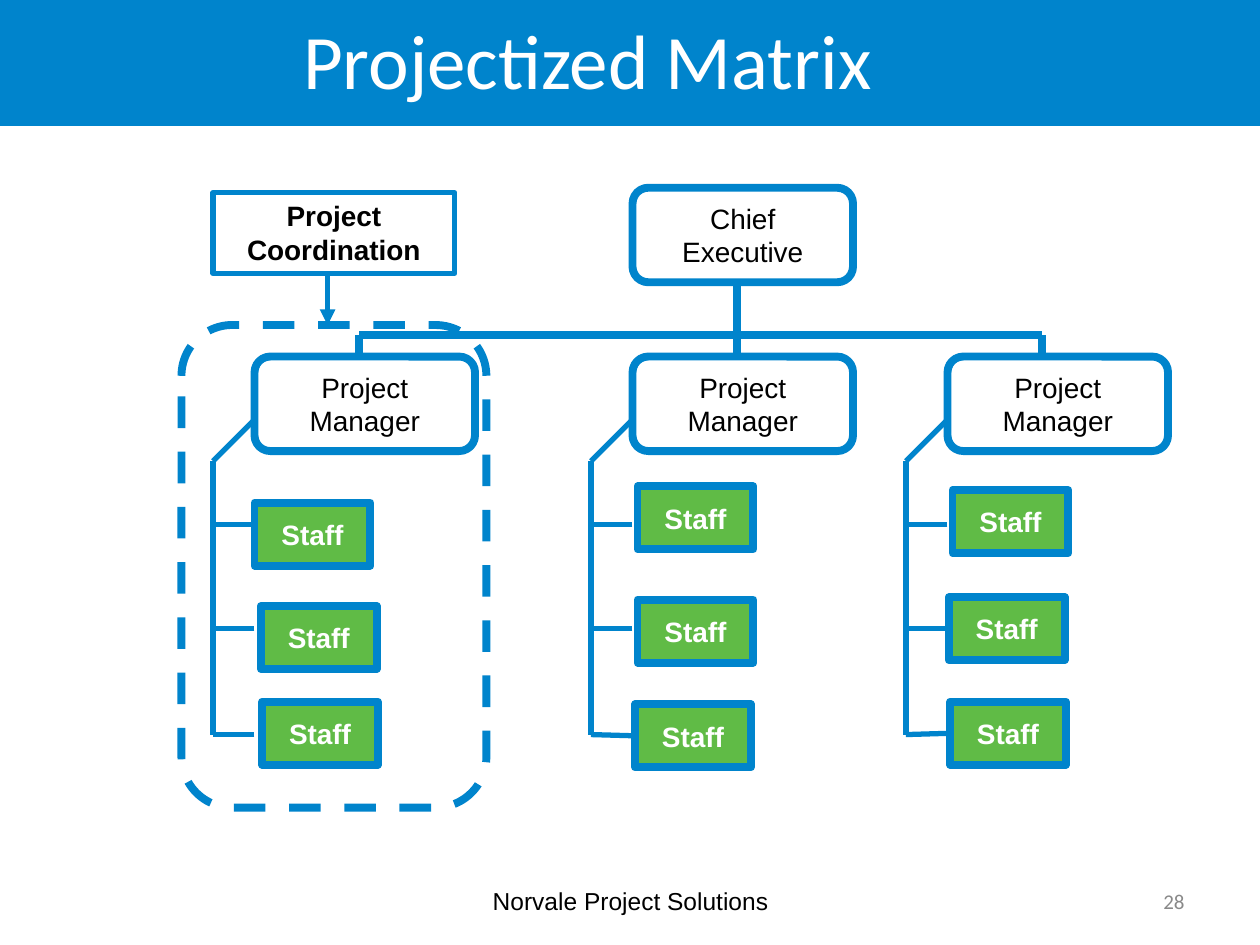
from typing import NamedTuple

from lxml import etree
from pptx import Presentation, util as u
from pptx.dml.color import RGBColor
from pptx.enum import dml, shapes as sh, text as tx
from pptx.oxml import ns

BLUE, GREEN, WHITE, BLACK, GREY = "0084CC", "60BB46", "FFFFFF", "000000", "898989"
KIND = sh.MSO_SHAPE
ROWS = (4.16, 4.99, 5.83)


class Team(NamedTuple):
    left: float
    staff: tuple[tuple[float, float], ...]


TEAMS = (
    Team(2.02, ((2.02, 3.99), (2.07, 4.81), (2.08, 5.57))),
    Team(5.02, ((5.06, 3.86), (5.06, 4.76), (5.04, 5.59))),
    Team(7.52, ((7.56, 3.89), (7.53, 4.74), (7.54, 5.57))),
)


def rgb(code: str) -> RGBColor:
    return RGBColor.from_string(code)


def write(shape, words: str, size: int = 16, color: str = BLACK, bold: bool = False,
          font: str = "Arial", align=tx.PP_ALIGN.CENTER,
          anchor=tx.MSO_ANCHOR.MIDDLE, wrap: bool = True) -> None:
    frame = shape.text_frame
    frame.word_wrap, frame.vertical_anchor = wrap, anchor
    para = frame.paragraphs[0]
    para.text, para.alignment = words, align
    for run in para.runs:
        run.font.name, run.font.size, run.font.bold = font, u.Pt(size), bold
        run.font.color.rgb = rgb(color)


def box(slide, kind, left: float, top: float, width: float, height: float,
        fill: str = "", line: float = 4.5):
    shape = slide.shapes.add_shape(kind, *map(u.Inches, (left, top, width, height)))
    shape.shadow.inherit = False
    if fill:
        shape.fill.solid()
        shape.fill.fore_color.rgb = rgb(fill)
    else:
        shape.fill.background()
    if line:
        shape.line.color.rgb = rgb(BLUE)
        shape.line.width = u.Pt(line)
    else:
        shape.line.fill.background()
    return shape


def label(slide, left: float, top: float, width: float, height: float, words: str, **form) -> None:
    area = slide.shapes.add_textbox(*map(u.Inches, (left, top, width, height)))
    write(area, words, **form)


def link(slide, x: float, y: float, end_x: float, end_y: float,
         width: float = 3, arrow: bool = False):
    line = slide.shapes.add_connector(
        sh.MSO_CONNECTOR.STRAIGHT, *map(u.Inches, (x, y, end_x, end_y)))
    line.line.color.rgb = rgb(BLUE)
    line.line.width = u.Pt(width)
    if arrow:
        etree.SubElement(line.line._get_or_add_ln(), ns.qn("a:tailEnd"), type="triangle")
    etree.SubElement(line.element.spPr, ns.qn("a:effectLst"))
    return line


def lead(slide, left: float, top: float, words: str) -> None:
    write(box(slide, KIND.ROUNDED_RECTANGLE, left, top, 1.75, 0.75), words, wrap=False)


def team(slide, unit: Team) -> None:
    left, trunk = unit.left, unit.left - 0.33
    link(slide, trunk, ROWS[-1], trunk, 3.66)
    link(slide, left, 3.33, trunk, 3.66)
    lead(slide, left, 2.83, "Project\nManager")
    for row, (x, y) in zip(ROWS, unit.staff):
        staff = box(slide, KIND.RECTANGLE, x, y, 0.92, 0.5, GREEN)
        write(staff, "Staff", color=WHITE, bold=True, wrap=False)
        twig = link(slide, left, row, trunk, row)
        if max(abs(x - left), abs(y + 0.25 - row)) < 0.03:
            twig.begin_connect(staff, 1)


def main() -> None:
    deck = Presentation()
    deck.slide_width, deck.slide_height = u.Inches(10), u.Inches(7.5)
    slide = deck.slides.add_slide(deck.slide_layouts[5])

    title = slide.shapes.title
    title.left, title.top = u.Inches(0.08), u.Inches(0.03)
    title.width, title.height = u.Inches(9.17), u.Inches(0.88)
    write(title, "Projectized Matrix", size=44, color=WHITE, font="Calibri")
    band = box(slide, KIND.RECTANGLE, -0.01, 0, 10.01, 1, BLUE, 0)
    title.element.addprevious(band.element)

    link(slide, 2.85, 2.66, 8.27, 2.66, 4.5)
    for x, top in ((2.85, 2.66), (5.85, 2.24), (8.27, 2.66)):
        link(slide, x, top, x, 2.83, 4.5)
    lead(slide, 5.02, 1.49, "Chief\nExecutive")

    frame = box(slide, KIND.ROUNDED_RECTANGLE, 1.44, 2.58, 2.42, 3.83)
    frame.line.dash_style = dml.MSO_LINE.DASH
    tag = box(slide, KIND.RECTANGLE, 1.69, 1.53, 1.92, 0.64, line=3)
    write(tag, "Project Coordination", bold=True, anchor=tx.MSO_ANCHOR.TOP)
    link(slide, 2.6, 2.16, 2.6, 2.58, arrow=True)

    for unit in TEAMS:
        team(slide, unit)

    label(slide, 3.42, 6.95, 3.17, 0.4, "Norvale Project Solutions", size=14)
    label(slide, 7.17, 6.95, 2.33, 0.4, "28", size=12, color=GREY,
          font="Calibri", align=tx.PP_ALIGN.RIGHT)
    deck.save("out.pptx")


if __name__ == "__main__":
    main()
